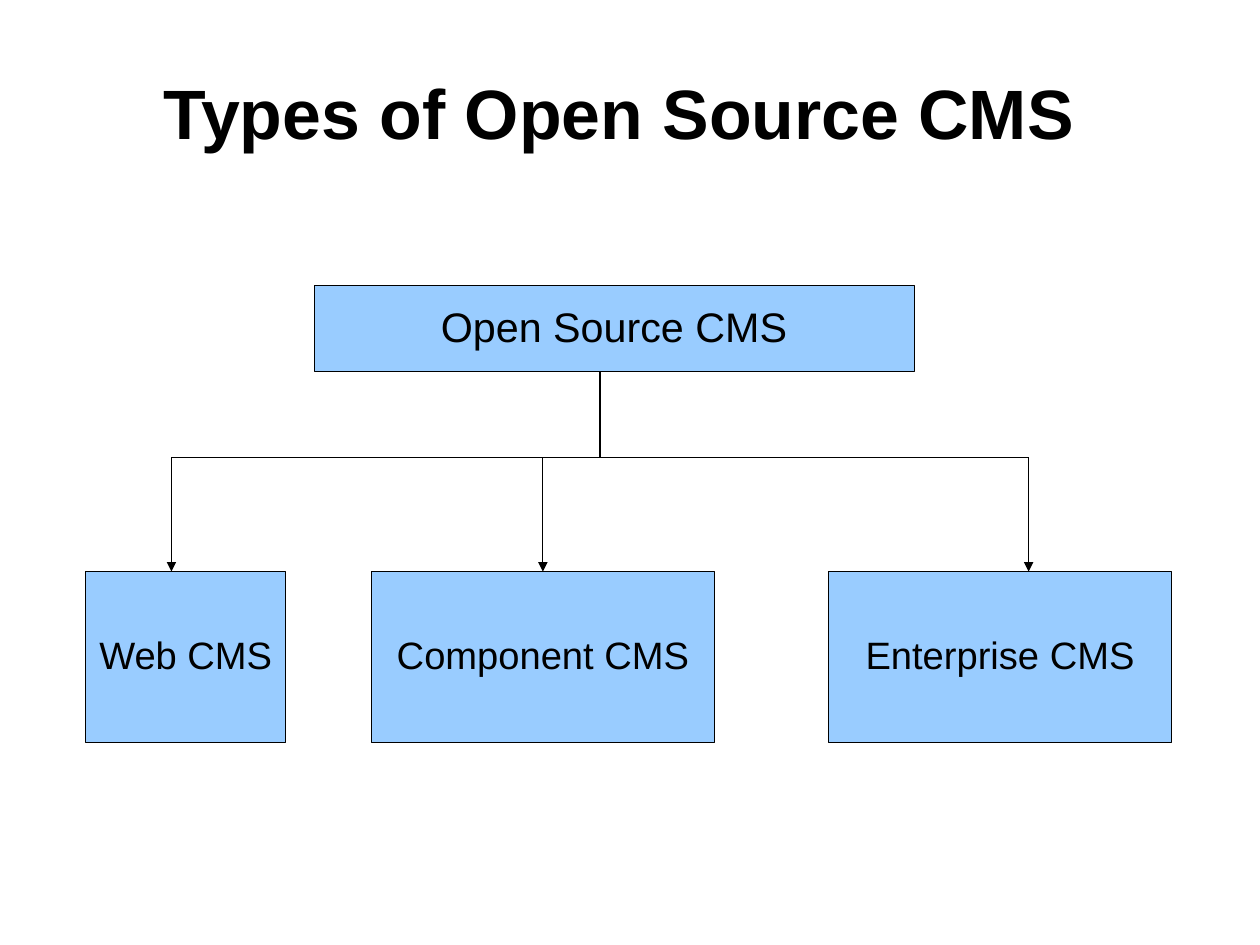
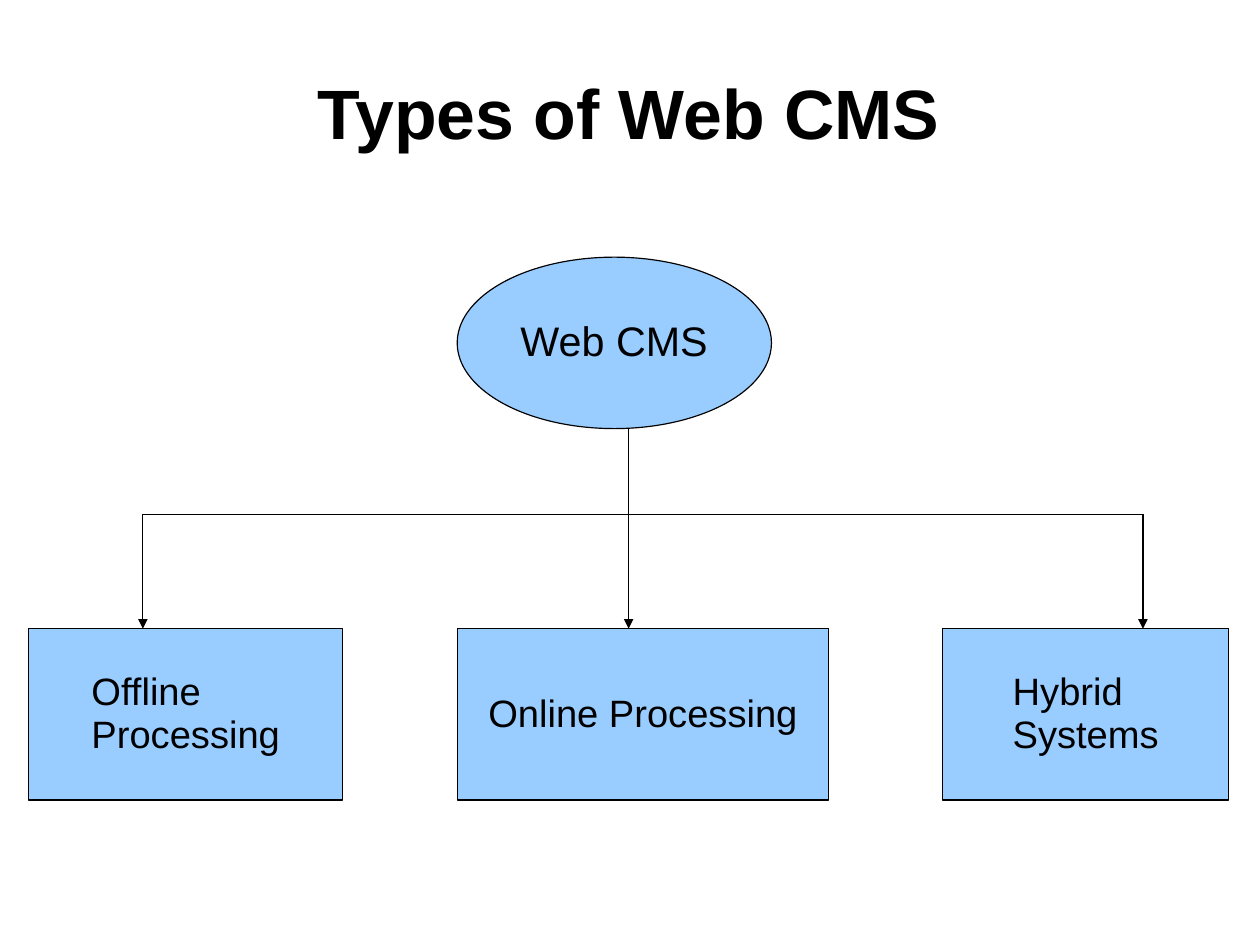
from lxml.etree import SubElement
from pptx import Presentation
from pptx.dml.color import RGBColor
from pptx.enum.shapes import MSO_CONNECTOR, MSO_SHAPE
from pptx.enum.text import MSO_ANCHOR, PP_ALIGN
from pptx.oxml.ns import qn
from pptx.util import Pt

# Content: lengths in points, child boxes as (text, left, width, arrow x)
SLIDES = [
    {
        "title": "Types of Open Source CMS ",
        "root": ("Open Source CMS", MSO_SHAPE.RECTANGLE, 198, 180, 378, 54),
        "stem_x": 378,
        "children": [
            ("Web CMS", 54, 126, 108),
            ("Component CMS", 234, 216, 342),
            ("Enterprise CMS", 522, 216, 648),
        ],
    },
    {
        "title": "Types of Web CMS",
        "root": ("Web CMS", MSO_SHAPE.OVAL, 288, 162, 198, 108),
        "stem_x": 396,
        "children": [
            ("Offline Processing", 18, 198, 90),
            ("Online Processing", 288, 234, 396),
            ("Hybrid Systems", 594, 180, 720),
        ],
    },
]

# Shared style
COLORS = {"text": "000000", "line": "000000", "box": "99CCFF"}
FONT = "Arial"
SLIDE_W, SLIDE_H = 793.75, 595.25
TITLE_BOX = {"left": 39.6, "top": 23.8, "width": 713.5, "height": 98.6}
TITLE_FONT = {"size": Pt(44), "bold": True, "name": FONT}
ROOT_FONT = {"size": Pt(26), "name": FONT}
CHILD_FONT = {"size": Pt(24), "name": FONT}
MARGINS = ("margin_left", "margin_top", "margin_right", "margin_bottom")
LINE_W, LINE_SPACING = 0.75, 0.93
STEM_H, ARROW_H, CHILD_H = 54, 72, 108


def rgb(name):
    return RGBColor.from_string(COLORS[name])


def write(tf, text, font, align):
    tf.word_wrap = True
    tf.vertical_anchor = MSO_ANCHOR.MIDDLE
    p = tf.paragraphs[0]
    p.alignment, p.line_spacing = align, LINE_SPACING
    r = p.add_run()
    r.text = text
    for key, value in font.items():
        setattr(r.font, key, value)
    r.font.color.rgb = rgb("text")


def add_title(s, text):
    title = s.shapes.title
    for key, value in TITLE_BOX.items():
        setattr(title, key, Pt(value))
    for margin in MARGINS:
        setattr(title.text_frame, margin, 0)
    write(title.text_frame, text, TITLE_FONT, PP_ALIGN.CENTER)


def add_box(s, text, kind, x, y, w, h, font):
    sp = s.shapes.add_shape(kind, Pt(x), Pt(y), Pt(w), Pt(h))
    sp.shadow.inherit = False
    sp.fill.solid()
    sp.fill.fore_color.rgb = rgb("box")
    sp.line.color.rgb = rgb("line")
    sp.line.width = Pt(LINE_W)
    write(sp.text_frame, text, font, PP_ALIGN.LEFT)
    # Centre the left-aligned text block as a whole
    sp.text_frame._txBody.find(qn("a:bodyPr")).set("anchorCtr", "1")
    return sp


def add_line(s, x1, y1, x2, y2, arrow=False):
    line = s.shapes.add_connector(
        MSO_CONNECTOR.STRAIGHT, Pt(x1), Pt(y1), Pt(x2), Pt(y2))
    line.line.color.rgb = rgb("line")
    line.line.width = Pt(LINE_W)
    if arrow:
        SubElement(line.line._get_or_add_ln(), qn("a:tailEnd"), type="triangle")
    SubElement(line._element.spPr, qn("a:effectLst"))
    return line


def add_tree(s, root, stem_x, children):
    text, kind, x, y, w, h = root
    add_box(s, text, kind, x, y, w, h, ROOT_FONT)

    # Stem and crossbar
    bar_y = y + h + STEM_H
    child_y = bar_y + ARROW_H
    add_line(s, stem_x, y + h, stem_x, bar_y)
    add_line(s, children[0][-1], bar_y, children[-1][-1], bar_y)

    # Child boxes with their arrows
    for text, x, w, arrow_x in children:
        box = add_box(s, text, MSO_SHAPE.RECTANGLE, x, child_y, w, CHILD_H,
                      CHILD_FONT)
        arrow = add_line(s, arrow_x, bar_y, arrow_x, child_y, arrow=True)
        if arrow_x == x + w / 2:
            arrow.end_connect(box, 0)


def main():
    prs = Presentation()
    prs.slide_width, prs.slide_height = Pt(SLIDE_W), Pt(SLIDE_H)
    for content in SLIDES:
        s = prs.slides.add_slide(prs.slide_layouts[5])
        add_title(s, content["title"])
        add_tree(s, content["root"], content["stem_x"], content["children"])
    prs.save("out.pptx")


if __name__ == "__main__":
    main()
